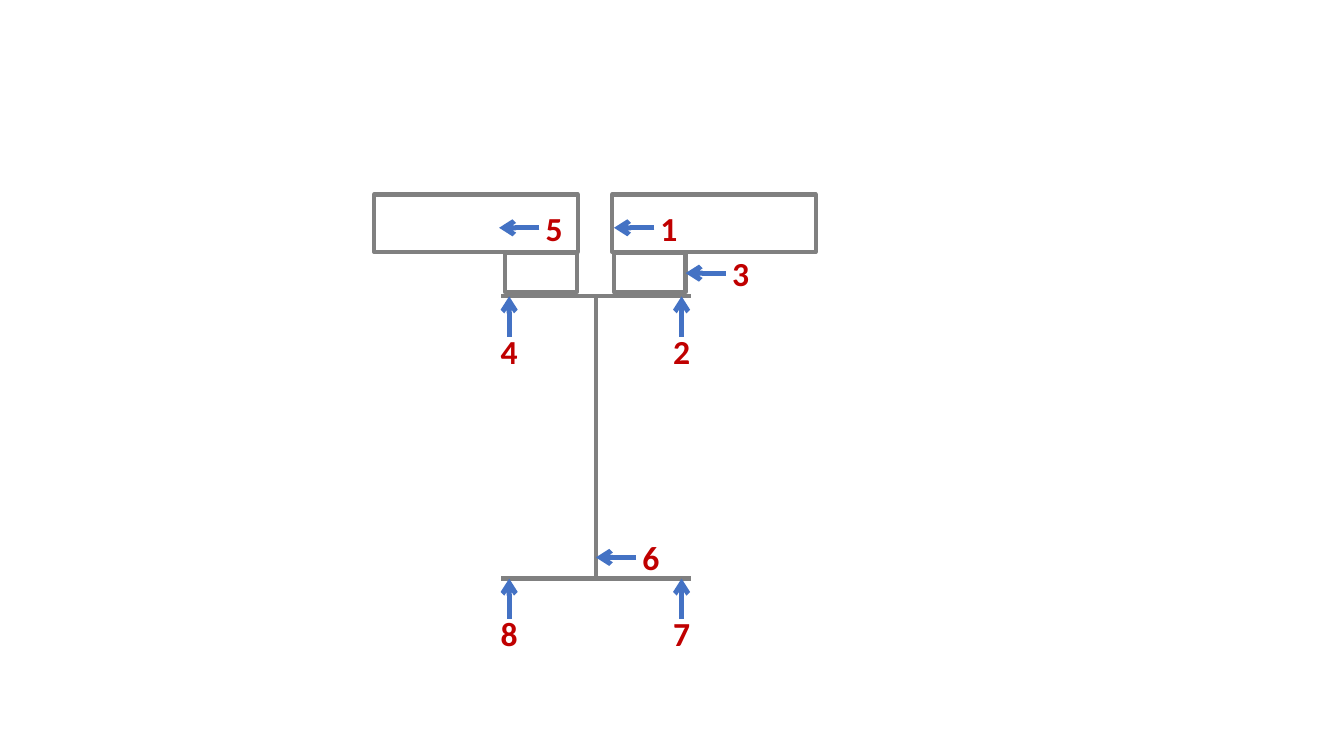
from lxml import etree
from pptx import Presentation
from pptx.dml.color import RGBColor
from pptx.enum.shapes import MSO_CONNECTOR, MSO_SHAPE
from pptx.enum.text import MSO_ANCHOR, PP_ALIGN
from pptx.oxml.ns import qn
from pptx.util import Inches, Pt

STRAIGHT = MSO_CONNECTOR.STRAIGHT
RECTANGLE = MSO_SHAPE.RECTANGLE
MIDDLE = MSO_ANCHOR.MIDDLE
CENTER = PP_ALIGN.CENTER
COLORS = {"outline": "808080", "arrow": "4472C4", "number": "C00000"}

presentation = Presentation()
presentation.slide_width = Inches(13.33)
presentation.slide_height = Inches(7.5)
slide = presentation.slides.add_slide(presentation.slide_layouts[6])

COLUMN = presentation.slide_width / 133.3
ROW = presentation.slide_height / 75


def add_line(start, end, color, weight, arrow=False):
    points = [round(value * unit) for point in (start, end) for value, unit in zip(point, (COLUMN, ROW))]
    connector = slide.shapes.add_connector(STRAIGHT, *points)
    connector.line.color.rgb = RGBColor.from_string(COLORS[color])
    connector.line.width = Pt(weight)
    properties = connector._element.spPr
    etree.SubElement(properties, qn("a:effectLst"))
    if arrow:
        etree.SubElement(properties.find(qn("a:ln")), qn("a:tailEnd"), type="arrow")


def add_text(text, center_x, center_y, width=3.5, height=5, size=24, color="number", bold=True):
    left, top = center_x - width / 2, center_y - height / 2
    box = slide.shapes.add_textbox(
        round(left * COLUMN), round(top * ROW), round(width * COLUMN), round(height * ROW)
    )
    frame = box.text_frame
    frame.word_wrap = True
    frame.vertical_anchor = MIDDLE
    frame.margin_left = frame.margin_right = 0
    paragraph = frame.paragraphs[0]
    paragraph.alignment = CENTER
    run = paragraph.add_run()
    run.text = text
    run.font.name = "Calibri"
    run.font.size = Pt(size)
    run.font.bold = bold
    run.font.color.rgb = RGBColor.from_string(COLORS[color])


WEB_X = 59.1
TOP_FLANGE_Y, BOTTOM_FLANGE_Y = 29.4, 57.4
FLANGE_HALF = 9.4

for flange_y in (TOP_FLANGE_Y, BOTTOM_FLANGE_Y):
    add_line((WEB_X - FLANGE_HALF, flange_y), (WEB_X + FLANGE_HALF, flange_y), "outline", 3)
add_line((WEB_X, TOP_FLANGE_Y), (WEB_X, BOTTOM_FLANGE_Y), "outline", 3)

BLOCK_ROW = (25.1, 7.1, 3.9)
SLAB_ROW = (19.3, 20.2, 5.7)
for (top, width, height), lefts in ((BLOCK_ROW, (50.1, 60.9)), (SLAB_ROW, (37.1, 60.7))):
    for left in lefts:
        shape = slide.shapes.add_shape(
            RECTANGLE, round(left * COLUMN), round(top * ROW), round(width * COLUMN), round(height * ROW)
        )
        shape.shadow.inherit = False
        shape.fill.background()
        shape.line.color.rgb = RGBColor.from_string(COLORS["outline"])
        shape.line.width = Pt(3)

ARROW_LENGTH = 4
NUMBER_DISTANCE = 5.45
LEFT_EDGE_X, RIGHT_EDGE_X = 50.5, 67.6
SLAB_GAUGE_Y = 22.6
POINTING_LEFT, POINTING_UP = (1, 0), (0, 1)

gauges = [
    ("1", 60.9, SLAB_GAUGE_Y, POINTING_LEFT),
    ("2", RIGHT_EDGE_X, TOP_FLANGE_Y, POINTING_UP),
    ("3", 68, 27.1, POINTING_LEFT),
    ("4", LEFT_EDGE_X, TOP_FLANGE_Y, POINTING_UP),
    ("5", 49.5, SLAB_GAUGE_Y, POINTING_LEFT),
    ("6", WEB_X, 55.3, POINTING_LEFT),
    ("7", RIGHT_EDGE_X, BOTTOM_FLANGE_Y, POINTING_UP),
    ("8", LEFT_EDGE_X, BOTTOM_FLANGE_Y, POINTING_UP),
]
for number, tip_x, tip_y, (step_x, step_y) in gauges:
    tail = (tip_x + ARROW_LENGTH * step_x, tip_y + ARROW_LENGTH * step_y)
    add_line(tail, (tip_x, tip_y), "arrow", 3.5, arrow=True)
    add_text(number, tip_x + NUMBER_DISTANCE * step_x, tip_y + NUMBER_DISTANCE * step_y)

presentation.save("out.pptx")
